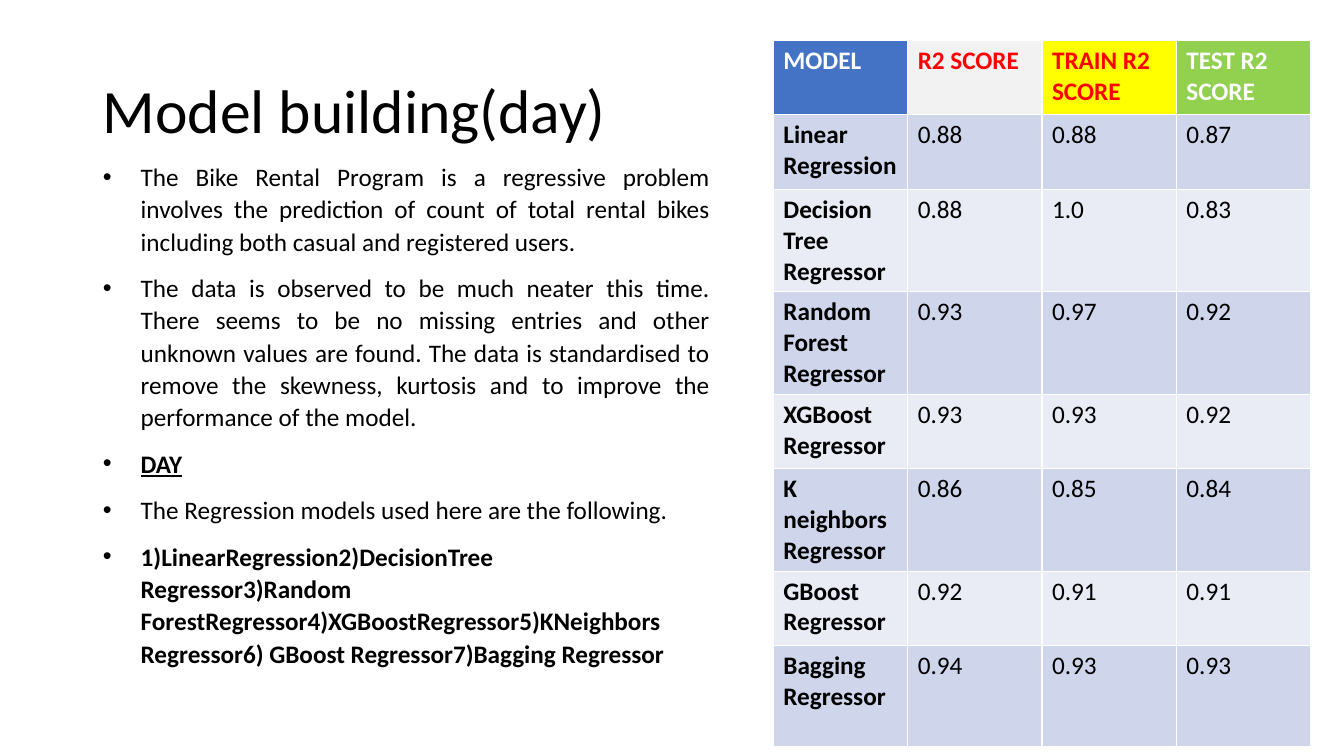
from pptx import Presentation
from pptx.dml.color import RGBColor
from pptx.enum.text import MSO_ANCHOR, MSO_AUTO_SIZE, PP_ALIGN
from pptx.util import Inches, Pt

BLACK = RGBColor(0x00, 0x00, 0x00)
WHITE = RGBColor(0xFF, 0xFF, 0xFF)
RED = RGBColor(0xFF, 0x00, 0x00)
BLUE = RGBColor(0x44, 0x72, 0xC4)
GREY = RGBColor(0xF2, 0xF2, 0xF2)
YELLOW = RGBColor(0xFF, 0xFF, 0x00)
GREEN = RGBColor(0x92, 0xD0, 0x50)
BANDS = [RGBColor(0xCF, 0xD5, 0xEA), RGBColor(0xE9, 0xEB, 0xF5)]

POINTS = [
    ("The Bike Rental Program is a regressive problem involves the prediction of count of total "
     "rental bikes including both casual and registered users.", False, False),
    ("The data is observed to be much neater this time. There seems to be no missing entries and "
     "other unknown values are found. The data is standardised to remove the skewness, kurtosis "
     "and to improve the performance of the model.", False, False),
    ("DAY", True, True),
    ("The Regression models used here are the following.", False, False),
    ("1)LinearRegression2)DecisionTree Regressor3)Random "
     "ForestRegressor4)XGBoostRegressor5)KNeighbors Regressor6) GBoost Regressor7)Bagging Regressor",
     True, False),
]
HEADINGS = [
    ("MODEL", WHITE, BLUE),
    ("R2 SCORE", RED, GREY),
    ("TRAIN R2 SCORE", RED, YELLOW),
    ("TEST R2 SCORE", WHITE, GREEN),
]
SCORES = [
    ("Linear\nRegression", "0.88", "0.88", "0.87"),
    ("Decision Tree\nRegressor", "0.88", "1.0", "0.83"),
    ("Random Forest Regressor", "0.93", "0.97", "0.92"),
    ("XGBoost Regressor", "0.93", "0.93", "0.92"),
    ("K neighbors\nRegressor", "0.86", "0.85", "0.84"),
    ("GBoost Regressor", "0.92", "0.91", "0.91"),
    ("Bagging Regressor", "0.94", "0.93", "0.93"),
]
ROW_HEIGHTS = [0.74, 0.74, 1, 1, 0.74, 1, 0.74, 1]


def style(paragraph, size, color, bold=False, underline=False):
    for run in paragraph.runs:
        run.font.name = "Calibri"
        run.font.size = Pt(size)
        run.font.color.rgb = color
        run.font.bold = bold
        run.font.underline = underline


def fill_cell(cell, text, color, background, bold):
    cell.text_frame.text = text
    cell.fill.solid()
    cell.fill.fore_color.rgb = background
    for paragraph in cell.text_frame.paragraphs:
        style(paragraph, 18, color, bold)


deck = Presentation()
deck.slide_width = Inches(13.33)
deck.slide_height = Inches(7.5)
slide = deck.slides.add_slide(deck.slide_layouts[1])

heading = slide.shapes.title
heading.left, heading.top = Inches(0.92), Inches(0.4)
heading.width, heading.height = Inches(11.5), Inches(1.45)
heading.text_frame.text = "Model building(day)"
heading.text_frame.vertical_anchor = MSO_ANCHOR.MIDDLE
heading.text_frame.auto_size = MSO_AUTO_SIZE.NONE
heading_line = heading.text_frame.paragraphs[0]
heading_line.alignment = PP_ALIGN.LEFT
heading_line.line_spacing = 0.9
style(heading_line, 44, BLACK)

summary = slide.placeholders[1]
summary.left, summary.top = Inches(0.92), Inches(1.53)
summary.width, summary.height = Inches(6.22), Inches(5.22)
summary.text_frame.text = "\n".join(text for text, bold, underline in POINTS)
summary.text_frame.auto_size = MSO_AUTO_SIZE.NONE
for point, (text, bold, underline) in zip(summary.text_frame.paragraphs, POINTS):
    point.alignment = PP_ALIGN.JUSTIFY
    point.line_spacing = 1.07
    point.space_before = Pt(10)
    style(point, 18, BLACK, bold, underline)

scores = slide.shapes.add_table(
    len(SCORES) + 1, len(HEADINGS), Inches(7.67), Inches(0.4), Inches(5.33), Inches(sum(ROW_HEIGHTS))
).table
for row, height in zip(scores.rows, ROW_HEIGHTS):
    row.height = Inches(height)
for column, (text, color, background) in enumerate(HEADINGS):
    fill_cell(scores.cell(0, column), text, color, background, True)
for row, values in enumerate(SCORES):
    for column, value in enumerate(values):
        fill_cell(scores.cell(row + 1, column), value, BLACK, BANDS[row % 2], column == 0)

deck.save("out.pptx")
